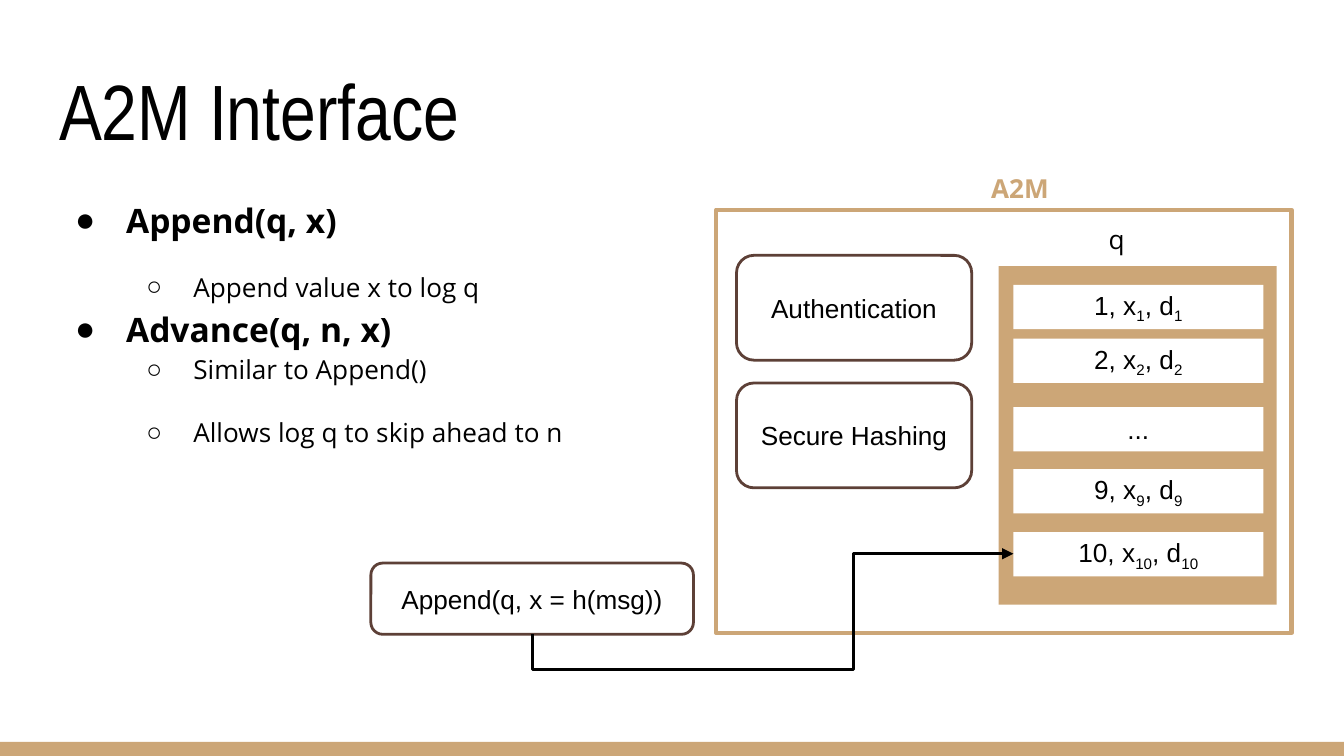
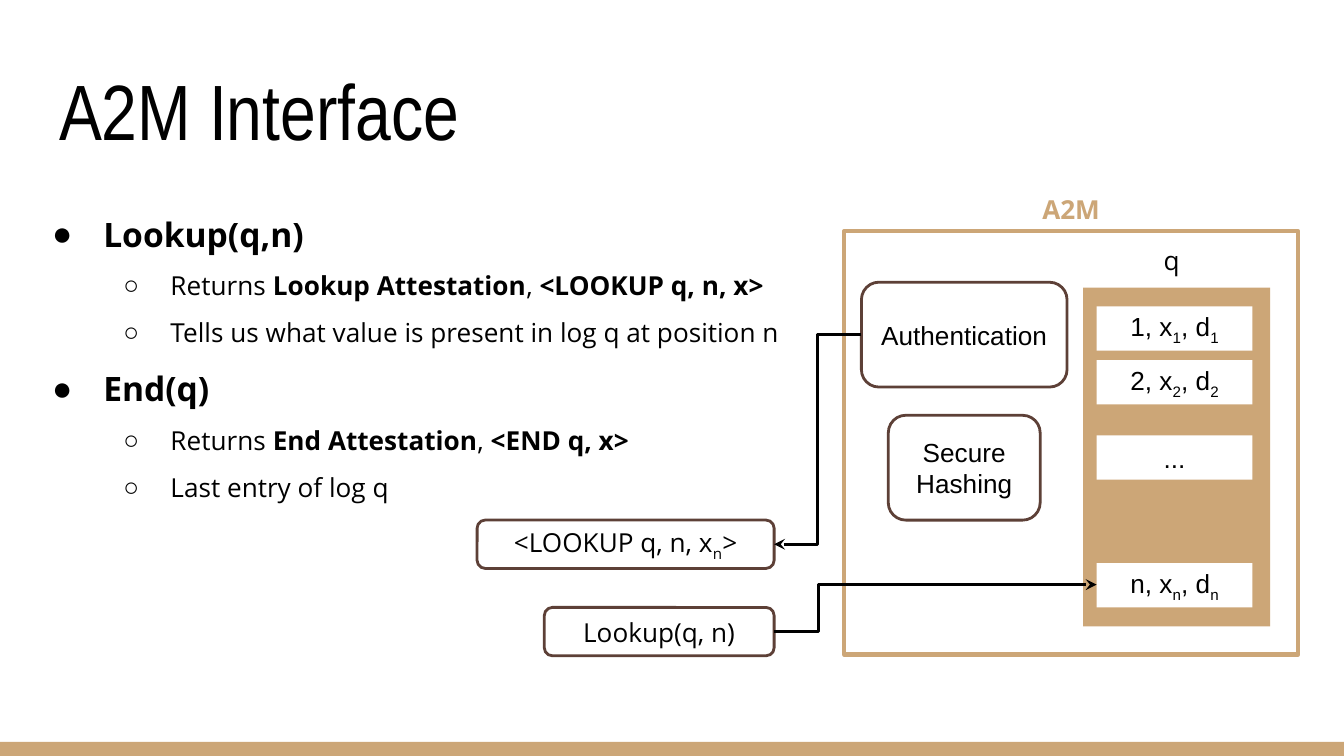
from dataclasses import dataclass

from lxml import etree
from pptx import Presentation
from pptx.dml.color import RGBColor
from pptx.enum.shapes import MSO_CONNECTOR, MSO_SHAPE
from pptx.enum.text import MSO_ANCHOR, MSO_AUTO_SIZE, PP_ALIGN
from pptx.oxml.ns import qn
from pptx.util import Inches, Pt

RECT, ROUNDED = MSO_SHAPE.RECTANGLE, MSO_SHAPE.ROUNDED_RECTANGLE
ELBOW = MSO_CONNECTOR.ELBOW
LEFT, CENTER = PP_ALIGN.LEFT, PP_ALIGN.CENTER
TOP, MIDDLE, BOTTOM = MSO_ANCHOR.TOP, MSO_ANCHOR.MIDDLE, MSO_ANCHOR.BOTTOM
NO_FIT = MSO_AUTO_SIZE.NONE
TITLE_ONLY = 5


@dataclass(frozen=True)
class Theme:
    tan: str = "CCA677"
    brown: str = "5D4037"
    black: str = "000000"
    white: str = "FFFFFF"
    title_font: str = "Arial Narrow"
    text_font: str = "Open Sans"
    label_font: str = "Arial"
    title_size: int = 42
    topic_size: int = 18
    text_size: int = 14
    frame_line: float = 2.25
    line: float = 1.5


def add_child(parent, tag, **attributes):
    return etree.SubElement(parent, qn(tag), attributes)


class SlideBuilder:
    """Holds the style and the current slide."""

    def __init__(self, theme):
        self.theme = theme
        self.deck = Presentation()
        self.deck.slide_width = Inches(10)
        self.deck.slide_height = self.deck.slide_width * 9 // 16
        self.page = self.shapes = None

    # Slides and shared parts
    def start_page(self, title):
        theme = self.theme
        self.page = self.deck.slides.add_slide(self.deck.slide_layouts[TITLE_ONLY])
        self.shapes = self.page.shapes
        if len(self.deck.slides) == 1:
            self.add_master_band()
        box = self.page.shapes.title
        box.left, box.top, box.width, box.height = map(Inches, (0.34, 0.35, 9.32, 0.91))
        para = self.prepare_text(box, LEFT, BOTTOM)
        self.add_span(para, title, theme.title_font, theme.title_size)

    def add_master_band(self):
        band = self.block((0, 5.52, 10, 0.11), fill=self.theme.tan)
        self.deck.slide_master.shapes.element.append(band.element)

    def start_group(self):
        self.shapes = self.page.shapes.add_group_shape().shapes

    def end_group(self):
        self.shapes = self.page.shapes

    # Text
    def prepare_text(self, box, align, anchor):
        frame = box.text_frame
        frame.word_wrap = True
        frame.auto_size = NO_FIT
        frame.vertical_anchor = anchor
        frame.margin_left = frame.margin_right = Inches(0.1)
        frame.margin_top = frame.margin_bottom = Inches(0.1)
        para = frame.paragraphs[0]
        para.alignment = align
        return para

    def add_span(self, para, text, font, size, color=None, bold=False, sub=False):
        span = para.add_run()
        span.text = text
        span.font.name = font
        span.font.size = Pt(size)
        span.font.bold = bold
        span.font.color.rgb = RGBColor.from_string(color or self.theme.black)
        if sub:
            span._r.get_or_add_rPr().set("baseline", "-25000")

    def add_label(self, para, parts, font):
        """Parts alternate between normal and subscript text."""
        for index, part in enumerate(parts):
            self.add_span(para, part, font, self.theme.text_size, sub=index % 2 == 1)

    def text(self, place, text, align=LEFT, color=None, bold=False):
        box = self.shapes.add_textbox(*map(Inches, place))
        para = self.prepare_text(box, align, TOP)
        self.add_span(para, text, self.theme.text_font, self.theme.text_size, color, bold)

    def bullets(self, place, items):
        """Each item is (level, line spacing, parts); parts alternate normal and bold."""
        theme = self.theme
        box = self.shapes.add_textbox(*map(Inches, place))
        para = self.prepare_text(box, LEFT, TOP)
        for index, (level, spacing, parts) in enumerate(items):
            if index:
                para = box.text_frame.add_paragraph()
            self.format_bullet(para, level)
            para.line_spacing = spacing
            size = theme.text_size if level else theme.topic_size
            for part_index, part in enumerate(parts):
                bold = level == 0 or part_index % 2 == 1
                self.add_span(para, part, theme.text_font, size, bold=bold)

    def format_bullet(self, para, level):
        para.level = level
        indent, hanging, mark = ((0.5, -0.38, "●"), (1, -0.35, "○"))[level]
        props = para._p.get_or_add_pPr()
        props.set("marL", str(Inches(indent)))
        props.set("indent", str(Inches(hanging)))
        color = add_child(props, "a:buClr")
        add_child(color, "a:srgbClr", val=self.theme.black)
        add_child(props, "a:buFont", typeface=self.theme.label_font)
        add_child(props, "a:buChar", char=mark)

    # Shapes
    def block(self, place, kind=RECT, fill=None, line=None, width=None):
        shape = self.shapes.add_shape(kind, *map(Inches, place))
        shape.shadow.inherit = False
        if fill:
            shape.fill.solid()
            shape.fill.fore_color.rgb = RGBColor.from_string(fill)
        else:
            shape.fill.background()
        if line:
            shape.line.color.rgb = RGBColor.from_string(line)
            shape.line.width = Pt(width)
        else:
            shape.line.fill.background()
        return shape

    def module(self, place, *parts, font=None):
        shape = self.block(place, ROUNDED, line=self.theme.brown, width=self.theme.line)
        shape.adjustments[0] = 0.167
        para = self.prepare_text(shape, CENTER, MIDDLE)
        self.add_label(para, parts, font or self.theme.label_font)

    def log_entry(self, place, key):
        shape = self.block(place, fill=self.theme.white)
        para = self.prepare_text(shape, CENTER, MIDDLE)
        parts = (key,) if key == "..." else (f"{key}, x", key, ", d", key)
        self.add_label(para, parts, self.theme.label_font)

    def elbow_arrow(self, start, end, bends, head, upright=False):
        """Bends are fractions of the span; upright leaves the start vertically."""
        (x1, y1), (x2, y2) = start, end
        if upright:
            # A quarter turn swaps width and height about the same centre
            mid_x, mid_y = (x1 + x2) / 2, (y1 + y2) / 2
            half_width, half_height = abs(y2 - y1) / 2, abs(x2 - x1) / 2
            x1, x2 = mid_x - half_width, mid_x + half_width
            y1, y2 = mid_y - half_height, mid_y + half_height
        arrow = self.shapes.add_connector(ELBOW, *map(Inches, (x1, y1, x2, y2)))
        arrow.line.color.rgb = RGBColor.from_string(self.theme.black)
        arrow.line.width = Pt(self.theme.line)
        props = arrow.element.spPr
        if upright:
            props.find(qn("a:xfrm")).set("rot", str(270 * 60000))
        outline = props.find(qn("a:prstGeom"))
        outline.set("prst", f"bentConnector{len(bends) + 2}")
        guides = outline.find(qn("a:avLst"))
        for number, bend in enumerate(bends, 1):
            add_child(guides, "a:gd", name=f"adj{number}", fmla=f"val {round(bend * 100000)}")
        add_child(props.find(qn("a:ln")), "a:tailEnd", type=head)
        add_child(props, "a:effectLst")

    # The A2M diagram: frame, caption, log and its entries
    def a2m_diagram(self, top, frame, caption, log, name, entry, entries, modules):
        """Frame, caption, log, name and entry are (left, width) columns."""
        theme = self.theme

        def cell(column, offset, height):
            return column[0], top + offset, column[1], height

        self.start_group()
        self.block(cell(frame, 0, 3.15), line=theme.tan, width=theme.frame_line)
        self.text(cell(caption, -0.38, 0.38), "A2M", CENTER, theme.tan, bold=True)
        self.block(cell(log, 0.42, 2.52), fill=theme.tan)
        self.text(cell(name, 0, 0.5), "q")
        for key, offset in entries:
            self.log_entry(cell(entry, offset, 0.33), key)
        for label, column, offset in modules:
            self.module(cell(column, offset, 0.78), label)
        self.end_group()


def add_append_page(builder):
    builder.start_page("A2M Interface")
    builder.bullets((0.34, 1.34, 6.22, 3.67), [
        (0, 1.15, ["Append(q, x)"]),
        (1, 2.0, ["Append value x to log q"]),
        (0, 1.15, ["Advance(q, n, x)"]),
        (1, 1.15, ["Similar to Append()"]),
        (1, 2.0, ["Allows log q to skip ahead to n"]),
    ])
    builder.a2m_diagram(
        top=1.56, frame=(5.33, 4.28), caption=(6.4, 2.38),
        log=(7.43, 2.07), name=(8.15, 0.57), entry=(7.54, 1.86),
        entries=[("1", 0.56), ("2", 0.96), ("...", 1.47), ("9", 1.93), ("10", 2.4)],
        modules=[("Authentication", (5.48, 1.75), 0.34),
                 ("Secure Hashing", (5.48, 1.75), 1.29)],
    )
    builder.module((2.76, 4.19, 2.4, 0.53), "Append(q, x = h(msg))")
    builder.elbow_arrow((3.96, 4.72), (7.54, 4.12), (-0.435, 0.668), "triangle", upright=True)


def add_lookup_page(builder):
    font = builder.theme.text_font
    builder.start_page("A2M Interface")
    builder.bullets((0.17, 1.34, 5.75, 1.99), [
        (0, 1.5, ["Lookup(q,n)"]),
        (1, 1.5, ["Returns ", "Lookup Attestation", ", ", "<LOOKUP q, n, x>"]),
        (1, 1.5, ["Tells us what value is present in log q at position n"]),
        (0, 1.5, ["End(q)"]),
        (1, 1.5, ["Returns ", "End Attestation", ", ", "<END q, x>"]),
        (1, 1.5, ["Last entry of log q"]),
    ])
    builder.a2m_diagram(
        top=1.72, frame=(6.28, 3.38), caption=(7.08, 1.78),
        log=(8.06, 1.39), name=(8.56, 0.35), entry=(8.16, 1.16),
        entries=[("1", 0.56), ("2", 0.96), ("...", 1.52), ("n", 2.47)],
        modules=[("Authentication", (6.41, 1.53), 0.38),
                 ("Secure Hashing", (6.61, 1.13), 1.37)],
    )
    # Request and reply
    builder.module((4.05, 4.52, 1.71, 0.36), "Lookup(q, n)", font=font)
    builder.elbow_arrow((5.76, 4.7), (8.16, 4.35), (0.137,), "stealth")
    builder.module((3.55, 3.87, 2.21, 0.36), "<LOOKUP q, n, x", "n", ">", font=font)
    builder.elbow_arrow((6.41, 2.49), (5.76, 4.05), (0.5,), "stealth")


def main():
    builder = SlideBuilder(Theme())
    add_append_page(builder)
    add_lookup_page(builder)
    builder.deck.save("out.pptx")


if __name__ == "__main__":
    main()
